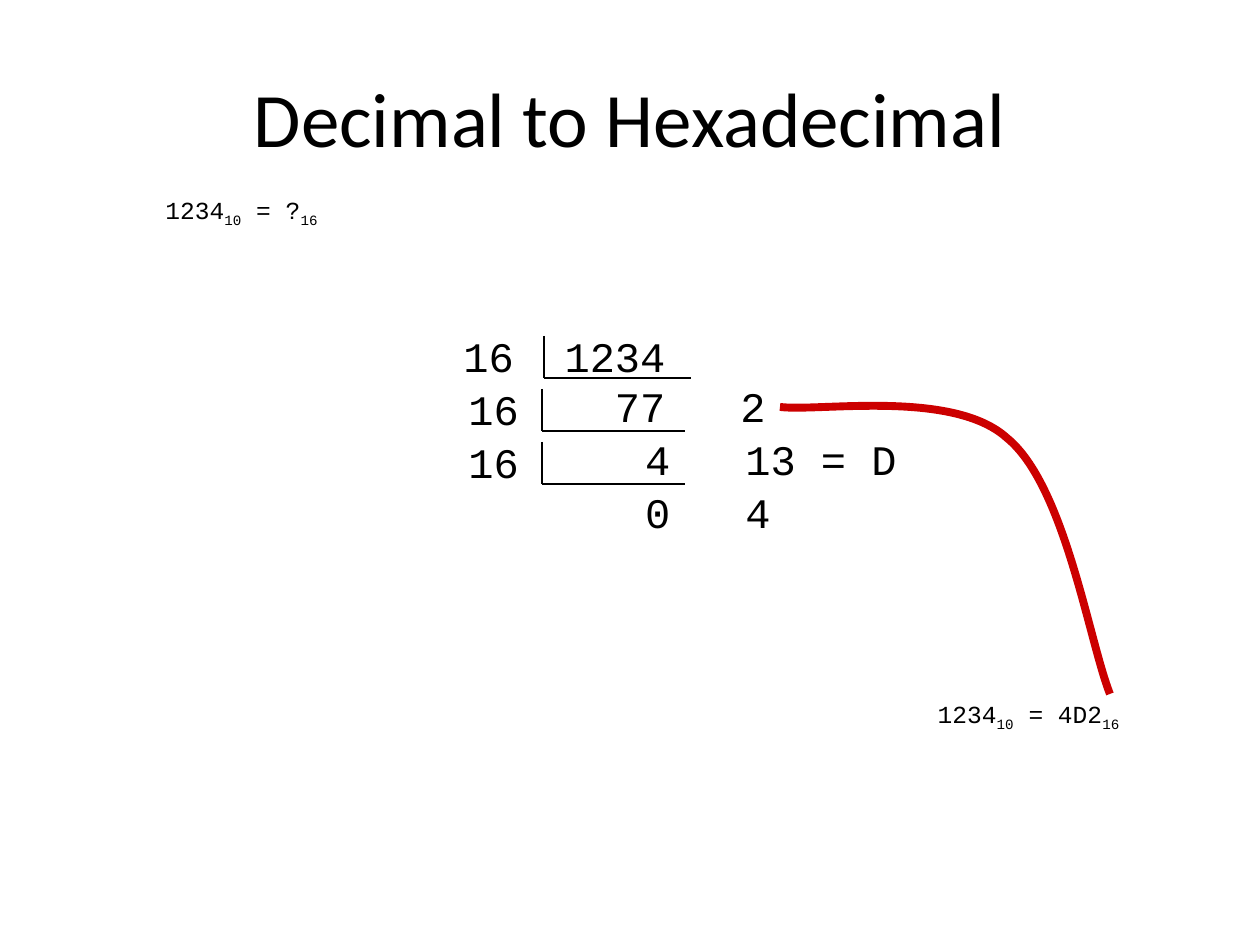
from dataclasses import dataclass
from lxml import etree
from pptx import Presentation
from pptx.dml.color import RGBColor
from pptx.enum.shapes import MSO_CONNECTOR as Connector
from pptx.enum.text import MSO_ANCHOR as Anchor, PP_ALIGN as Align
from pptx.oxml.ns import qn
from pptx.slide import Slide
from pptx.util import Emu, Pt

EMU_PER_PX = 914400 / 126
COLORS = {"ink": "000000", "curve": "CC0000"}


def px(length):
    return Emu(round(length * EMU_PER_PX))


@dataclass
class Board:
    """Draws the elements of a worked base conversion on one slide."""
    slide: Slide
    heading_font: str = "Calibri"
    digit_font: str = "Courier New"

    def frame(self, left, top, width, height):
        box = self.slide.shapes.add_textbox(px(left), px(top), px(width), px(height))
        box.text_frame.word_wrap = True
        return box.text_frame

    def run(self, paragraph, text, size, font):
        piece = paragraph.add_run()
        piece.text = text
        piece.font.size = Pt(size)
        piece.font.name = font
        piece.font.color.rgb = RGBColor.from_string(COLORS["ink"])
        return piece

    def title(self, text, *area):
        frame = self.frame(*area)
        frame.vertical_anchor = Anchor.MIDDLE
        heading = frame.paragraphs[0]
        heading.alignment = Align.CENTER
        self.run(heading, text, 44, self.heading_font)

    def equation(self, parts, *area):
        equation = self.frame(*area).paragraphs[0]
        equation.alignment = Align.CENTER
        for text, is_base in parts:
            piece = self.run(equation, text, 14, self.digit_font)
            if is_base:
                piece.font._element.set("baseline", "-25000")

    def division(self, lines, tabs, *area):
        frame = self.frame(*area)
        for index, line in enumerate(lines):
            row = frame.add_paragraph() if index else frame.paragraphs[0]
            stops = etree.SubElement(row._p.get_or_add_pPr(), qn("a:tabLst"))
            for position, side in tabs:
                etree.SubElement(stops, qn("a:tab"), pos=str(px(position)), algn=side)
            self.run(row, line, 24, self.digit_font)

    def line(self, x1, y1, x2, y2):
        rule = self.slide.shapes.add_connector(Connector.STRAIGHT, px(x1), px(y1), px(x2), px(y2))
        rule.line.color.rgb = RGBColor.from_string(COLORS["ink"])
        rule.line.width = Pt(1.5)
        etree.SubElement(rule._element.spPr, qn("a:effectLst"))

    def bracket(self, left, top, right, bottom):
        self.line(left, top, left, bottom)
        self.line(left, bottom, right, bottom)

    def curve(self, start, controls):
        builder = self.slide.shapes.build_freeform(*start, scale=EMU_PER_PX)
        builder.add_line_segments(controls, close=False)
        sweep = builder.convert_to_shape()
        sweep.shadow.inherit = False
        sweep.fill.background()
        sweep.line.color.rgb = RGBColor.from_string(COLORS["curve"])
        sweep.line.width = Pt(4.5)
        path = next(sweep._element.iter(qn("a:path")))
        segments = path.findall(qn("a:lnTo"))
        for index, segment in enumerate(segments):
            if index % 3 == 0:
                bezier = etree.SubElement(path, qn("a:cubicBezTo"))
            bezier.append(segment[0])
            path.remove(segment)


def main():
    deck = Presentation()
    deck.slide_width, deck.slide_height = px(1260), px(945)
    board = Board(deck.slides.add_slide(deck.slide_layouts[6]))

    board.title("Decimal to Hexadecimal", 63, 38, 1134, 157)
    for left, top, answer in [(42, 189, "?"), (829, 693, "4D2")]:
        parts = [("1234", False), ("10", True), (f" = {answer}", False), ("16", True)]
        board.equation(parts, left, top, 399, 63)
    board.curve((780, 407), [(818, 412), (953, 389), (1007, 438),
                             (1065, 485), (1089, 641), (1110, 694)])

    tabs = [(202, "r"), (277, "l")]
    steps = [
        (["16\t1234", "\t77\t2"], 451, 340, 544, 691),
        (["16", "\t4\t13 = D"], 456, 489, 542, 685),
        (["16", "\t0\t4"], 456, 489, 542, 685),
    ]
    for index, (lines, left, width, bracket_left, bracket_right) in enumerate(steps):
        drop = 53 * index
        board.division(lines, tabs, left, 324 + drop, width, 113)
        board.bracket(bracket_left, 336 + drop, bracket_right, 378 + drop)

    deck.save("out.pptx")


if __name__ == "__main__":
    main()
